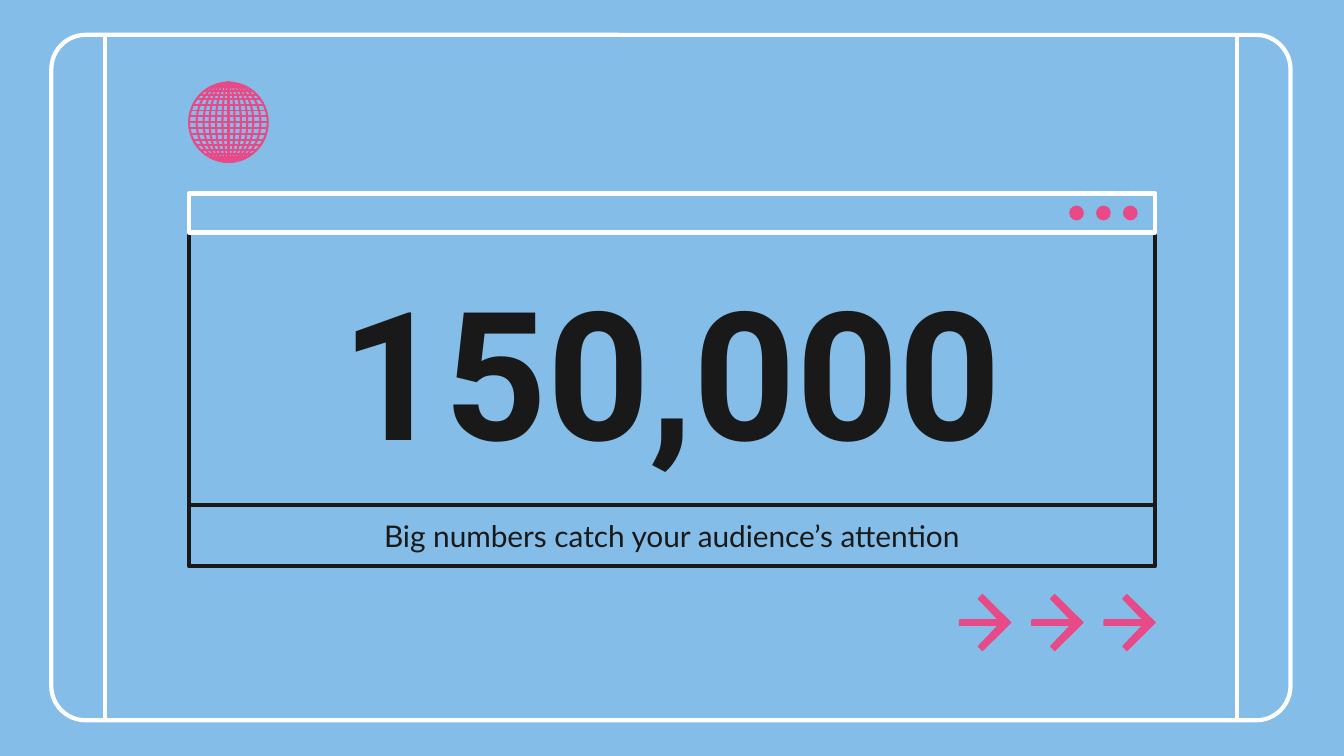
from dataclasses import dataclass
from math import sqrt

from lxml.etree import SubElement
from pptx import Presentation
from pptx.dml.color import RGBColor
from pptx.enum.shapes import MSO_CONNECTOR, MSO_SHAPE
from pptx.enum.text import MSO_ANCHOR, PP_ALIGN
from pptx.oxml.ns import qn
from pptx.util import Inches, Pt

COLOURS = {"sky": "84BDE7", "white": "FFFFFF", "ink": "191919", "pink": "E84987"}
COLUMNS, ROWS = 100, 56.25
CELL = Inches(0.1)
BORDER = 2.25


@dataclass
class Box:
    """An area of the slide, in grid cells."""
    left: float
    top: float
    width: float
    height: float

    @property
    def right(self):
        return self.left + self.width

    @property
    def bottom(self):
        return self.top + self.height

    @property
    def middle(self):
        return self.left + self.width / 2, self.top + self.height / 2

    def emu(self):
        return [cells(n) for n in (self.left, self.top, self.width, self.height)]


def cells(count):
    return round(count * CELL)


def colour(name):
    return RGBColor.from_string(COLOURS[name])


def paint(shape, fill=None, line=None, weight=BORDER):
    shape.shadow.inherit = False
    if fill:
        shape.fill.solid()
        shape.fill.fore_color.rgb = colour(fill)
    else:
        shape.fill.background()
    if line:
        shape.line.color.rgb = colour(line)
        shape.line.width = Pt(weight)
    else:
        shape.line.fill.background()


def add_preset(shapes, kind, box, **style):
    shape = shapes.add_shape(kind, *box.emu())
    paint(shape, **style)
    return shape


def add_line(shapes, start, end, line, weight=BORDER):
    ends = [cells(n) for n in (*start, *end)]
    connector = shapes.add_connector(MSO_CONNECTOR.STRAIGHT, *ends)
    connector.line.color.rgb = colour(line)
    connector.line.width = Pt(weight)
    SubElement(connector._element.spPr, qn("a:effectLst"))


def add_panel(shapes, box, text, font, size, bold=False):
    """Outlined rectangle with one centred line of text."""
    panel = add_preset(shapes, MSO_SHAPE.RECTANGLE, box, line="ink")
    frame = panel.text_frame
    frame.word_wrap = True
    frame.vertical_anchor = MSO_ANCHOR.MIDDLE
    frame.margin_left = frame.margin_right = cells(1)
    frame.margin_top = frame.margin_bottom = cells(1)
    para = frame.paragraphs[0]
    para.alignment = PP_ALIGN.CENTER
    span = para.add_run()
    span.text = text
    span.font.name = font
    span.font.size = Pt(size)
    span.font.bold = bold
    span.font.color.rgb = colour("ink")


def add_frame(page, box, side=4):
    """Rounded border with a vertical rule near each end."""
    shapes = page.shapes.add_group_shape().shapes
    border = add_preset(shapes, MSO_SHAPE.ROUNDED_RECTANGLE, box, line="white")
    border.adjustments[0] = 0.05
    for x in (box.left + side, box.right - side):
        add_line(shapes, (x, box.top), (x, box.bottom), "white")


def add_title_bar(page, box, dot=1.1, pitch=2, margin=1.3):
    shapes = page.shapes.add_group_shape().shapes
    add_preset(shapes, MSO_SHAPE.RECTANGLE, box, line="white")
    top = box.middle[1] - dot / 2
    for place in (2, 1, 0):
        left = box.right - margin - dot - place * pitch
        add_preset(shapes, MSO_SHAPE.OVAL, Box(left, top, dot, dot), fill="pink")


def add_window(page, box, bar=2.9, caption=4.5):
    """Browser window: title bar, big number and caption."""
    number = box.height - bar - caption
    add_panel(page.shapes, Box(box.left, box.top + bar, box.width, number),
              "150,000", "Roboto", 96, bold=True)
    add_panel(page.shapes, Box(box.left, box.bottom - caption, box.width, caption),
              "Big numbers catch your audience’s attention", "Lato", 16)
    add_title_bar(page, Box(box.left, box.top, box.width, bar))


def add_arrow(page, box):
    """Open arrow pointing right, mirrored about its shaft."""
    _, axis = box.middle
    half, shaft, slant = box.height / 2, 0.2, 0.3
    notch, tip = box.left + 1.4, box.right
    upper = [(0, shaft), (1.5 + notch - box.left, shaft), (notch - box.left, half - slant),
             (notch - box.left + slant, half)]
    points = [(box.left + x, axis - y) for x, y in upper] + [(tip, axis)]
    points += [(box.left + x, axis + y) for x, y in reversed(upper)]
    outline = [(cells(x), cells(y)) for x, y in points]
    builder = page.shapes.build_freeform(*outline[0])
    builder.add_line_segments(outline[1:], close=True)
    paint(builder.convert_to_shape(), fill="pink", line="pink", weight=0.75)


def add_arrows(page, box, count=3, width=3.8):
    pitch = (box.width - width) / (count - 1)
    for place in range(count):
        add_arrow(page, Box(box.left + place * pitch, box.top, width, box.height))


def add_globe(page, box):
    """Meridians as narrowing ellipses, parallels as chords of the disc."""
    shapes = page.shapes.add_group_shape().shapes
    x, y = box.middle
    radius = box.width / 2
    for width in (5.85, 4.75, 3.7, 2.8, 1.85, 0.9):
        add_preset(shapes, MSO_SHAPE.OVAL, Box(x - width / 2, box.top, width, box.height),
                   line="pink", weight=1.1)
    add_line(shapes, (x, box.top), (x, box.bottom), "pink", 1.1)
    heights = (0.45, 0.88, 1.3, 1.7, 2.03, 2.35, 2.6)
    for height in (0, *heights, *(-h for h in heights)):
        half = sqrt(radius ** 2 - height ** 2)
        add_line(shapes, (x - half, y + height), (x + half, y + height), "pink", 1)


def main():
    deck = Presentation()
    deck.slide_width, deck.slide_height = cells(COLUMNS), cells(ROWS)
    page = deck.slides.add_slide(deck.slide_layouts[6])
    page.background.fill.solid()
    page.background.fill.fore_color.rgb = colour("sky")
    add_frame(page, Box(3.82, 2.6, 92.2, 51))
    add_window(page, Box(14.05, 14.4, 71.9, 27.7))
    add_arrows(page, Box(71.4, 44.25, 14.55, 4.15))
    add_globe(page, Box(14.05, 6.15, 5.9, 5.9))
    deck.save("out.pptx")


if __name__ == "__main__":
    main()
